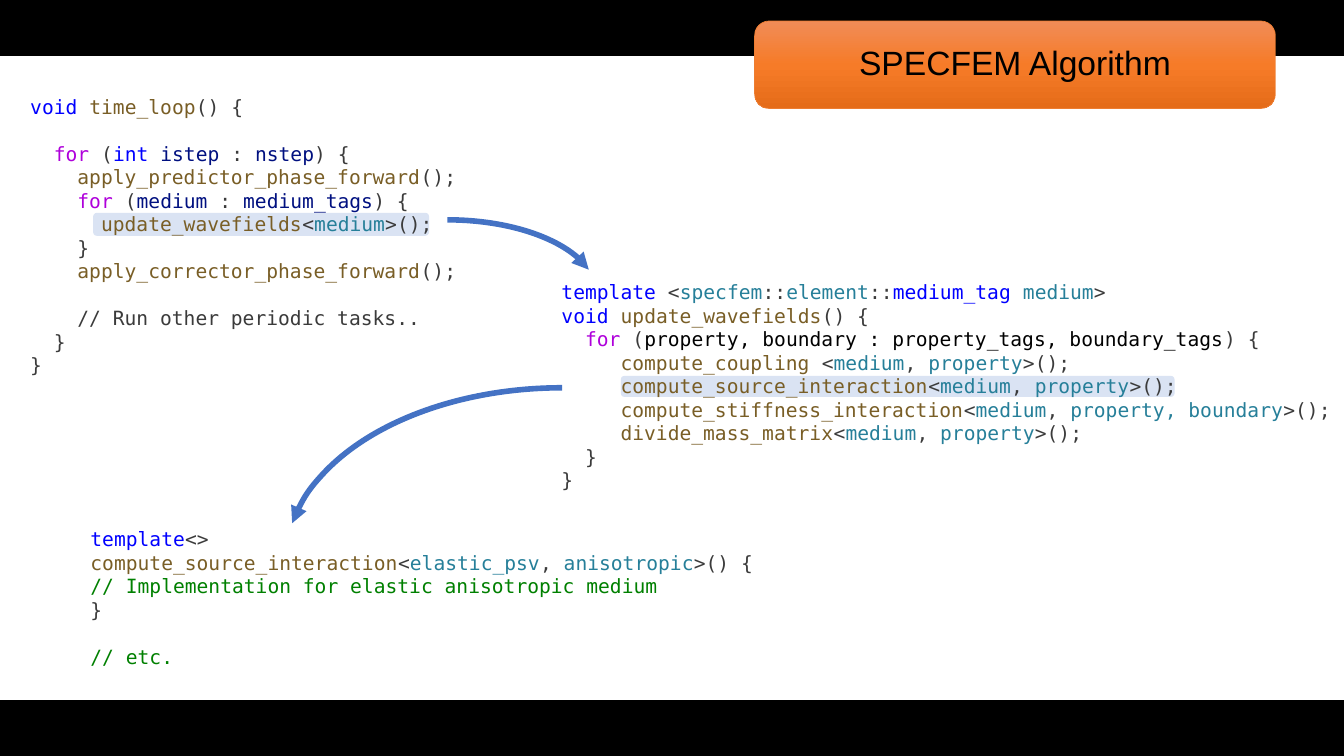
import copy

import pptx
import pptx.dml.color
import pptx.enum.dml
import pptx.enum.shapes
import pptx.enum.text
import pptx.oxml
import pptx.oxml.ns
import pptx.util

Pt = pptx.util.Pt
MSO_SHAPE = pptx.enum.shapes.MSO_SHAPE
WIDTH, HEIGHT = 960, 540
CODE_SIZE = 14
LINE_HEIGHT = 1.2 * CODE_SIZE

PLAIN, KEYWORD, FUNCTION, TYPE = "3B3B3B", "0000FF", "795E26", "267F99"
FLOW, VARIABLE, COMMENT, BLACK = "AF00DB", "001080", "008000", "000000"
BLUE, PALE_BLUE = "4472C4", "DAE3F3"


def rgb(value):
    return pptx.dml.color.RGBColor.from_string(value)


def add_shape(s, kind, box, fill=None):
    sp = s.shapes.add_shape(kind, *(Pt(v) for v in box))
    sp.shadow.inherit = False
    sp.line.fill.background()
    if fill:
        sp.fill.solid()
        sp.fill.fore_color.rgb = rgb(fill)
    else:
        sp.fill.background()
    return sp


def add_bars(s, thickness):
    for top in (0, HEIGHT - thickness):
        add_shape(s, MSO_SHAPE.RECTANGLE, (0, top, WIDTH, thickness), BLACK)


def add_title(s, box, text):
    sp = add_shape(s, MSO_SHAPE.ROUNDED_RECTANGLE, box)
    sp.fill.gradient()
    sp.fill.gradient_angle = 270
    stops = sp._element.spPr.find(".//" + pptx.oxml.ns.qn("a:gsLst"))
    stops.insert(1, copy.deepcopy(stops[0]))
    shades = ((0, "F18C57"), (0.5, "F67B28"), (1, "E56C19"))
    for stop, (position, shade) in zip(sp.fill.gradient_stops, shades):
        stop.position = position
        stop.color.rgb = rgb(shade)
    sp.line.color.rgb = rgb("ED7D31")
    sp.line.width = Pt(0.5)

    title = s.shapes.title
    title.left, title.top, title.width, title.height = (Pt(v) for v in box)
    s.shapes._spTree.append(title._element)
    tf = title.text_frame
    tf.text = text
    tf.vertical_anchor = pptx.enum.text.MSO_ANCHOR.MIDDLE
    p = tf.paragraphs[0]
    p.alignment = pptx.enum.text.PP_ALIGN.CENTER
    p.line_spacing = 0.9
    p.font.name = "Arial"
    p.font.size = Pt(24)
    p.font.color.rgb = rgb(BLACK)


def add_code(s, box, lines, highlight=None):
    left, top, width, height = box
    if highlight:
        dx, dy, w, h = highlight
        add_shape(s, MSO_SHAPE.ROUNDED_RECTANGLE, (left + dx, top + dy, w, h), PALE_BLUE)
    tf = s.shapes.add_textbox(*(Pt(v) for v in box)).text_frame
    tf.word_wrap = True
    tf.auto_size = pptx.enum.text.MSO_AUTO_SIZE.SHAPE_TO_FIT_TEXT
    p, gap = tf.paragraphs[0], 0
    for i, line in enumerate(lines):
        if not line:
            gap += LINE_HEIGHT
            continue
        if i:
            p = tf.add_paragraph()
        if gap:
            p.space_before = Pt(gap)
            gap = 0
        for text, color in line:
            r = p.add_run()
            r.text = text
            r.font.name = "DejaVu Sans Mono"
            r.font.size = Pt(CODE_SIZE)
            r.font.color.rgb = rgb(color)


def add_arc_arrow(s, box, end, flip=False):
    sp = add_shape(s, MSO_SHAPE.ARC, box)
    sp.adjustments[0] = 162
    sp.adjustments[1] = end
    sp.line.color.rgb = rgb(BLUE)
    sp.line.width = Pt(4)
    tail = pptx.oxml.parse_xml(
        f'<a:tailEnd {pptx.oxml.ns.nsdecls("a")} type="triangle"/>')
    sp.line._get_or_add_ln().append(tail)
    if flip:
        sp._element.spPr.xfrm.set("flipH", "1")


def plain(text):
    return [(text, PLAIN)]


def template_call(name, *types, opening="<", closing=">();"):
    line = [(name, FUNCTION), (opening, PLAIN)]
    for i, item in enumerate(types):
        if i:
            line.append((", ", PLAIN))
        line.append((item, TYPE))
    return line + plain(closing)


TIME_LOOP = [
    [("void ", KEYWORD), ("time_loop", FUNCTION), ("() {", PLAIN)],
    [],
    [("  for", FLOW), (" (", PLAIN), ("int ", KEYWORD), ("istep", VARIABLE),
     (" : ", PLAIN), ("nstep", VARIABLE), (") {", PLAIN)],
    [("    apply_predictor_phase_forward", FUNCTION), ("();", PLAIN)],
    [("    for", FLOW), (" (", PLAIN), ("medium", VARIABLE), (" : ", PLAIN),
     ("medium_tags", VARIABLE), (") {", PLAIN)],
    template_call("      update_wavefields", "medium"),
    plain("    }"),
    [("    apply_corrector_phase_forward", FUNCTION), ("();", PLAIN)],
    [],
    plain("    // Run other periodic tasks.."),
    plain("  }"),
    plain("}"),
]

UPDATE_WAVEFIELDS = [
    [("template", KEYWORD), (" <", PLAIN), ("specfem", TYPE), ("::", PLAIN),
     ("element", TYPE), ("::", PLAIN), ("medium_tag ", KEYWORD),
     ("medium", TYPE), (">", PLAIN)],
    [("void ", KEYWORD), ("update_wavefields", FUNCTION), ("() {", PLAIN)],
    [("  for", FLOW), (" (", PLAIN),
     ("property, boundary : property_tags, boundary_tags", BLACK), (") {", PLAIN)],
    template_call("     compute_coupling", "medium", "property", opening=" <"),
    template_call("     compute_source_interaction", "medium", "property"),
    template_call("     compute_stiffness_interaction", "medium", "property, boundary"),
    template_call("     divide_mass_matrix", "medium", "property"),
    plain("  }"),
    plain("}"),
]

SOURCE_INTERACTION = [
    [("template", KEYWORD), ("<>", PLAIN)],
    template_call("compute_source_interaction", "elastic_psv", "anisotropic",
                  closing=">() {"),
    [("// Implementation for elastic anisotropic medium", COMMENT)],
    plain("}"),
    [],
    [("// etc.", COMMENT)],
]


def add_algorithm_slide(prs):
    s = prs.slides.add_slide(prs.slide_layouts[5])
    add_bars(s, 40)
    add_title(s, (539, 15, 372, 62.5), "SPECFEM Algorithm")
    add_code(s, (394, 196.5, 566, 177), UPDATE_WAVEFIELDS, (49.5, 72, 395.5, 15))
    add_code(s, (14.5, 64, 380, 227.5), TIME_LOOP, (52, 88, 240, 16.5))
    add_arc_arrow(s, (212.5, 157, 214, 106), 210.14)
    add_code(s, (57.5, 373, 541, 109), SOURCE_INTERACTION)
    add_arc_arrow(s, (204, 277, 395, 247), 211.26, flip=True)


def main():
    prs = pptx.Presentation()
    prs.slide_width, prs.slide_height = Pt(WIDTH), Pt(HEIGHT)
    add_algorithm_slide(prs)
    prs.save("out.pptx")


if __name__ == "__main__":
    main()
